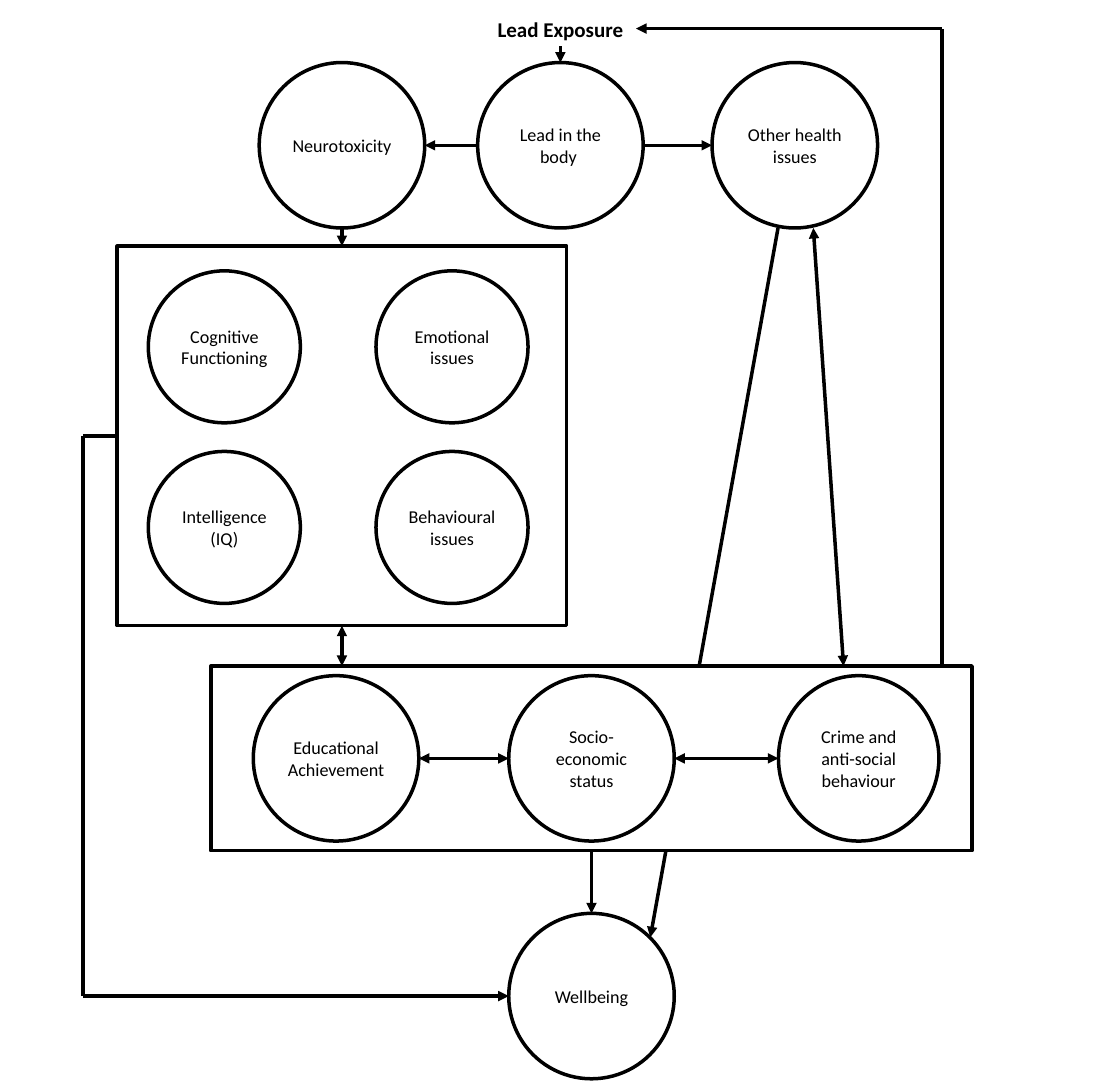
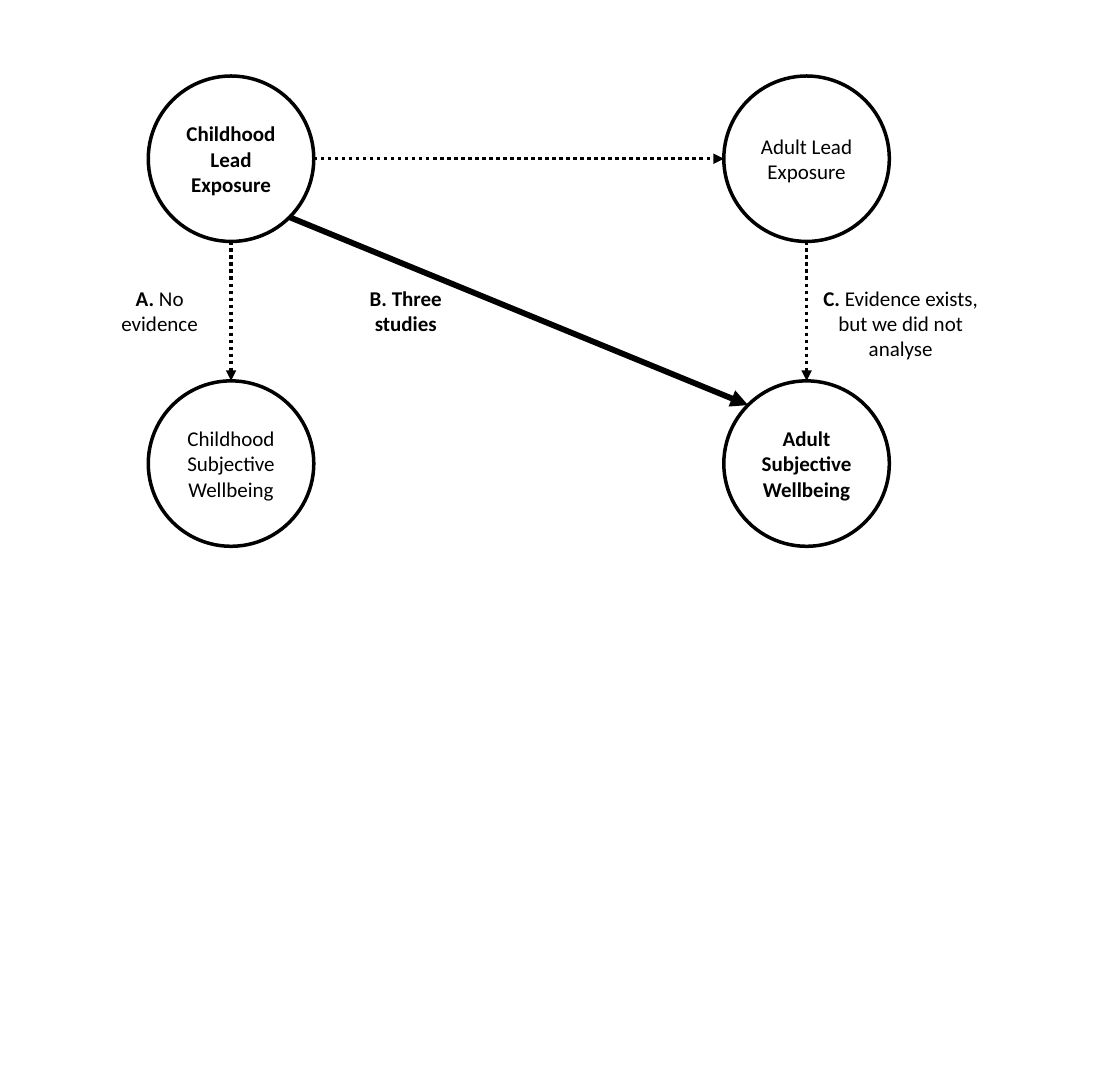
from lxml import etree
from pptx import Presentation
from pptx import util as u
from pptx.dml.color import RGBColor
from pptx.enum import dml, shapes, text
from pptx.oxml.ns import qn

BLACK = RGBColor(0, 0, 0)
WHITE = RGBColor(255, 255, 255)
FONT = "Calibri"
LINE = 3
SMALL, LARGE = 15.5, 18
D = 1.97              # main circle diameter
R = D / 2
OVAL = shapes.MSO_SHAPE.OVAL
RECT = shapes.MSO_SHAPE.RECTANGLE

prs = Presentation()
prs.slide_width, prs.slide_height = u.Inches(13.33), u.Inches(12.99)
blank = prs.slide_layouts[6]


def box(s, kind, cx, cy, w, h, paras=(), size=LARGE):
    """Add a centred shape, or a text box if kind is None; paras hold (text, bold) runs."""
    at = [u.Inches(v) for v in (cx - w / 2, cy - h / 2, w, h)]
    if kind is None:
        sp = s.shapes.add_textbox(*at)
    else:
        sp = s.shapes.add_shape(kind, *at)
        sp.shadow.inherit = False
        sp.fill.solid()
        sp.fill.fore_color.rgb = WHITE
        sp.line.color.rgb = BLACK
        sp.line.width = u.Pt(LINE)
    tf = sp.text_frame
    tf.word_wrap = True
    tf.vertical_anchor = text.MSO_ANCHOR.MIDDLE if kind else text.MSO_ANCHOR.TOP
    for i, runs in enumerate(paras):
        p = tf.add_paragraph() if i else tf.paragraphs[0]
        p.alignment = text.PP_ALIGN.CENTER
        for words, bold in runs:
            r = p.add_run()
            r.text = words
            r.font.name, r.font.size, r.font.bold = FONT, u.Pt(size), bold
            r.font.color.rgb = BLACK


def link(s, x1, y1, x2, y2, ends="tail", width=LINE, dotted=False):
    """Draw a straight line with arrowheads at the named ends (head = start)."""
    c = s.shapes.add_connector(shapes.MSO_CONNECTOR.STRAIGHT,
                               *[u.Inches(v) for v in (x1, y1, x2, y2)])
    c.line.color.rgb = BLACK
    c.line.width = u.Pt(width)
    if dotted:
        c.line.dash_style = dml.MSO_LINE.ROUND_DOT
    ln = c.line._get_or_add_ln()
    for end in ends.split():
        etree.SubElement(ln, qn(f"a:{end}End"), type="triangle")
    etree.SubElement(c._element.spPr, qn("a:effectLst"))


# Slide 1: pathways from lead exposure to wellbeing
s = prs.slides.add_slide(blank)
neuro_x, body_x, health_x = 4.07, 6.67, 9.46
top_y, effects_y, social_y, well_y = 1.73, 5.19, 9.03, 11.86
edu_x, status_x, crime_x = 4, 7.04, 10.22
crime_w = 1.91
effects_w, effects_h = 5.35, 4.52
effects_left = neuro_x - effects_w / 2
effects_top, effects_bottom = effects_y - effects_h / 2, effects_y + effects_h / 2
social_h = 2.2
social_top, social_bottom = social_y - social_h / 2, social_y + social_h / 2
left_x, right_x, return_y = 0.99, 11.21, 0.34

link(s, 9.26, top_y + R, 7.74, 11.16)    # passes behind the social panel
box(s, RECT, neuro_x, effects_y, effects_w, effects_h)
box(s, RECT, status_x, social_y, 9.06, social_h)
box(s, None, body_x, 0.35, 4, 0.4, [[("Lead Exposure", True)]])

circles = [
    ("Neurotoxicity", neuro_x, top_y, D),
    ("Lead in the body ", body_x, top_y, D),
    ("Other health issues", health_x, top_y, D),
    ("Educational Achievement", edu_x, social_y, D),
    ("Socio-economic status", status_x, social_y, D),
    ("Crime and anti-social behaviour", crime_x, social_y, crime_w),
    ("Wellbeing", status_x, well_y, D),
]
for words, x, y, w in circles:
    box(s, OVAL, x, y, w, D, [[(words, False)]], SMALL)

effects = [["Cognitive Functioning", "Emotional issues"],
           ["Intelligence (IQ)", "Behavioural issues"]]
for row, names in enumerate(effects):
    for col, words in enumerate(names):
        box(s, OVAL, 2.67 + 2.71 * col, 4.13 + 2.15 * row, 1.81, 1.81,
            [[(words, False)]], SMALL)

link(s, body_x, 0.55, body_x, top_y - R)
link(s, body_x - R, top_y, neuro_x + R, top_y)
link(s, body_x + R, top_y, health_x - R, top_y)
link(s, neuro_x, top_y + R, neuro_x, effects_top)
link(s, neuro_x, effects_bottom, neuro_x, social_top, "head tail")
link(s, 9.68, top_y + R, 10.04, social_top, "head tail")
link(s, status_x - R, social_y, edu_x + R, social_y, "head tail")
link(s, crime_x - crime_w / 2, social_y, status_x + R, social_y, "head tail")
link(s, status_x, social_bottom, status_x, well_y - R)
link(s, right_x, social_top, right_x, return_y, "")
link(s, right_x, return_y, 7.57, return_y)
link(s, effects_left, effects_y, left_x, effects_y, "")
link(s, left_x, effects_y, left_x, well_y, "")
link(s, left_x, well_y, status_x - R, well_y)

# Slide 2: evidence linking exposure and subjective wellbeing
s = prs.slides.add_slide(blank)
child_x, adult_x = 2.75, 9.6
exposure_y, wellbeing_y = 1.89, 5.52
label_top = 3.35

stages = [
    (child_x, exposure_y, ["Childhood Lead Exposure"], True),
    (adult_x, exposure_y, ["Adult Lead Exposure"], False),
    (child_x, wellbeing_y, ["Childhood Subjective", "Wellbeing"], False),
    (adult_x, wellbeing_y, ["Adult Subjective", "Wellbeing"], True),
]
for x, y, lines, bold in stages:
    box(s, OVAL, x, y, D, D, [[(words, bold)] for words in lines])

link(s, child_x + R, exposure_y, adult_x - R, exposure_y, dotted=True)
for x in (child_x, adult_x):
    link(s, x, exposure_y + R, x, wellbeing_y - R, dotted=True)
diagonal = R * 0.5 ** 0.5    # 45-degree point on a circle
link(s, child_x + diagonal, exposure_y + diagonal,
     adult_x - diagonal, wellbeing_y - diagonal, width=5)

labels = [
    (1.9, 1.65, 0.71, [("A. ", True), ("No evidence", False)]),
    (4.83, 1.17, 0.71, [("B. Three studies", True)]),
    (10.72, 2.12, 1.01, [("C. ", True), ("Evidence exists, but we did not analyse", False)]),
]
for x, w, h, runs in labels:
    box(s, None, x, label_top + h / 2, w, h, [runs])

prs.save("out.pptx")
